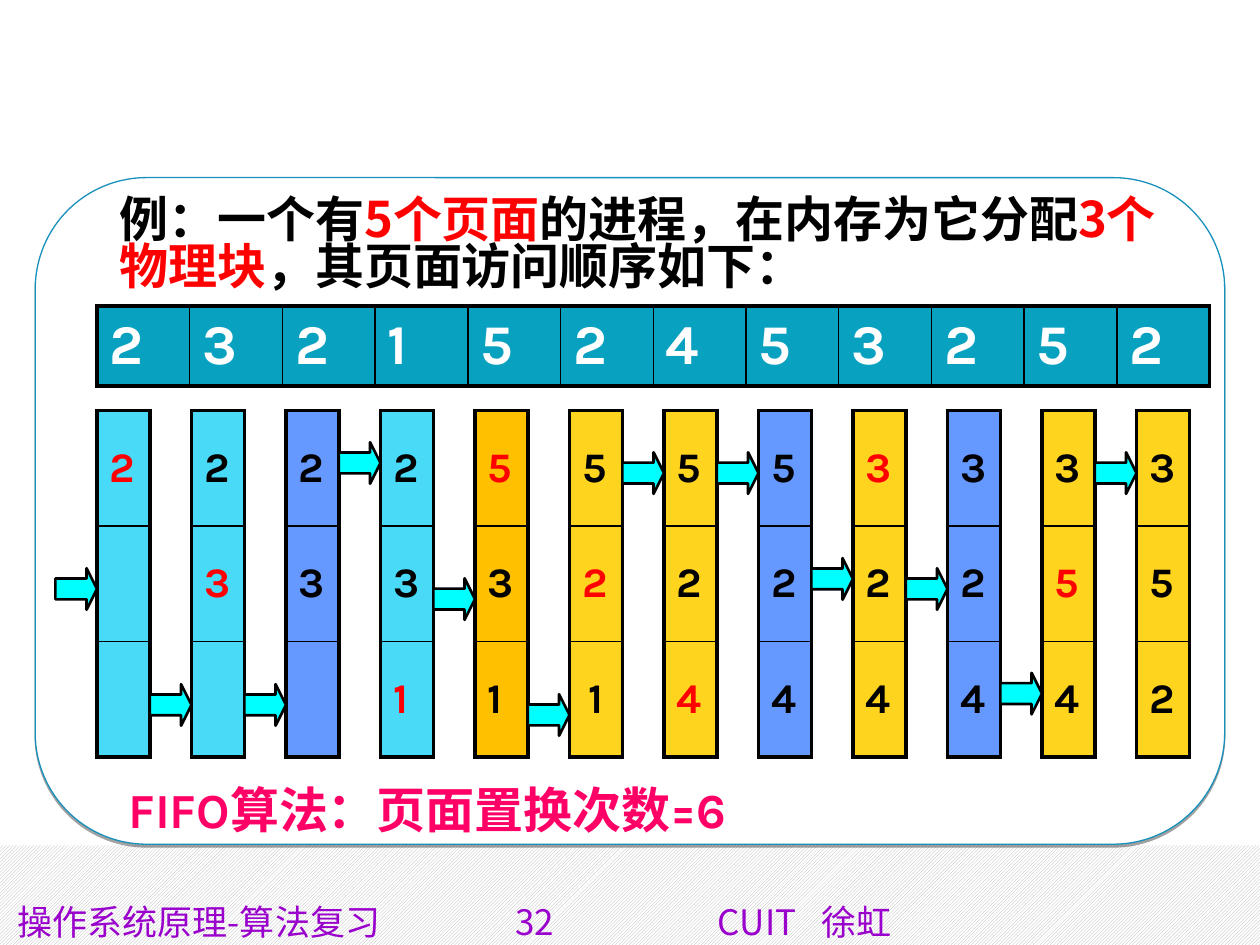
import lxml.etree
import pptx
import pptx.dml.color
import pptx.enum.dml
import pptx.enum.shapes
import pptx.enum.text
import pptx.oxml
import pptx.oxml.ns
import pptx.util

Inches = pptx.util.Inches
Pt = pptx.util.Pt
qn = pptx.oxml.ns.qn
Kind = pptx.enum.shapes.MSO_SHAPE
Anchor = pptx.enum.text.MSO_ANCHOR
Align = pptx.enum.text.PP_ALIGN
rgb = pptx.dml.color.RGBColor.from_string
CJK = "Noto Sans CJK SC"


def write(frame, *runs, size=24, font="Karla", bold=True, space=None, tabs=()):
    """Fill the first paragraph with (text, colour) runs; tabs are in inches."""
    para = frame.paragraphs[0]
    if tabs:
        stops = lxml.etree.SubElement(para._p.get_or_add_pPr(), qn("a:tabLst"))
        for stop in tabs:
            lxml.etree.SubElement(stops, qn("a:tab"), pos=str(Inches(stop)), algn="l")
    if space:
        para.line_spacing = space
    for text, color in runs:
        run = para.add_run()
        run.text = text
        run.font.size, run.font.bold, run.font.name = Pt(size), bold, font
        run.font.color.rgb = rgb(color)
        lxml.etree.SubElement(run._r.get_or_add_rPr(), qn("a:ea"), typeface=font)


def grid(left, top, width, height, rows, fill, size):
    """Draw a table of (text, colour) rows, thick outside and thin inside."""
    down, across = len(rows), len(rows[0])
    table = slide.shapes.add_table(
        down, across, Inches(left), Inches(top), Inches(width), Inches(height)).table
    table.first_row = table.horz_banding = False
    for r, row in enumerate(rows):
        for c, (text, color) in enumerate(row):
            cell = table.cell(r, c)
            cell.vertical_anchor = Anchor.MIDDLE
            if text:
                write(cell.text_frame, (text, color), size=size)
            outer = {"L": c == 0, "R": c == across - 1, "T": r == 0, "B": r == down - 1}
            for side, edge in outer.items():
                line = lxml.etree.SubElement(
                    cell._tc.get_or_add_tcPr(), qn("a:ln" + side), w=str(Pt(2.25 if edge else 1)))
                paint = lxml.etree.SubElement(line, qn("a:solidFill"))
                lxml.etree.SubElement(paint, qn("a:srgbClr"), val="000000")
            cell.fill.solid()
            cell.fill.fore_color.rgb = rgb(fill)
    return table


deck = pptx.Presentation()
deck.slide_width, deck.slide_height = Inches(10), Inches(7.5)
slide = deck.slides.add_slide(deck.slide_layouts[6])

# Footer band and rounded panel
band = slide.shapes.add_shape(Kind.RECTANGLE, 0, Inches(6.71), Inches(10), Inches(0.79))
band.shadow.inherit = False
band.fill.patterned()
band.fill.pattern = pptx.enum.dml.MSO_PATTERN.DARK_UPWARD_DIAGONAL
band.fill.fore_color.rgb, band.fill.back_color.rgb = rgb("B2B2B2"), rgb("FFFFFF")
band.line.fill.background()

panel = slide.shapes.add_shape(
    Kind.ROUNDED_RECTANGLE, Inches(0.28), Inches(1.41), Inches(9.44), Inches(5.29))
panel.adjustments[0] = 0.167
panel.fill.solid()
panel.fill.fore_color.rgb = rgb("FFFFFF")
panel.line.color.rgb, panel.line.width = rgb("1790BB"), Pt(0.75)
panel.shadow.inherit = False
shade = lxml.etree.SubElement(
    panel._element.spPr.find(qn("a:effectLst")), qn("a:outerShdw"),
    blurRad="0", dist=str(Pt(1.6)), dir="5400000", algn="t", rotWithShape="0")
tint = lxml.etree.SubElement(shade, qn("a:srgbClr"), val="000000")
lxml.etree.SubElement(tint, qn("a:alpha"), val="37000")

# Text boxes
foot = slide.shapes.add_textbox(Inches(0.04), Inches(7.1), Inches(9.96), Inches(0.4)).text_frame
foot.word_wrap = True
write(foot, ("操作系统原理-算法复习\t32\tCUIT\t徐虹", "9900CC"),
      size=20, font=CJK, bold=False, tabs=(3.95, 5.56, 6.38))

task = slide.shapes.add_textbox(Inches(0.85), Inches(1.47), Inches(8.52), Inches(0.91)).text_frame
task.word_wrap = True
task.vertical_anchor = Anchor.BOTTOM
write(task, ("例：一个有", "000000"), ("5个页面", "FF0000"),
      ("的进程，在内存为它分配", "000000"), ("3个物理块", "FF0000"),
      ("，其页面访问顺序如下：", "000000"), size=28, font=CJK, space=0.8)

total = slide.shapes.add_textbox(Inches(0.92), Inches(6.14), Inches(6.92), Inches(0.57)).text_frame
total.word_wrap = True
write(total, ("FIFO算法：页面置换次数=6", "FF0066"), size=28)

# Order in which the pages are used
grid(0.77, 2.43, 8.83, 0.63, [[(page, "FFFFFF") for page in "232152453252"]], "08A1C0", 32)

# Memory after each step: pages, row of the new page, fill, top of the arrow
CYAN, BLUE, GOLD, AMBER = "49DAF7", "6699FF", "FFD41F", "FFC000"
steps = [
    (["2", "", ""], 0, CYAN, 4.51),
    (["2", "3", ""], 1, CYAN, 5.43),
    (["2", "3", ""], None, BLUE, 5.43),
    (["2", "3", "1"], 2, CYAN, 3.51),
    (["5", "3", "1"], 0, AMBER, 4.59),
    (["5", "2", "1"], 1, GOLD, 5.51),
    (["5", "2", "4"], 2, GOLD, 3.59),
    (["5", "2", "4"], None, BLUE, 3.59),
    (["3", "2", "4"], 0, GOLD, 4.43),
    (["3", "2", "4"], None, BLUE, 4.51),
    (["3", "5", "4"], 1, GOLD, 5.34),
    (["3", "5", "2"], None, GOLD, 3.59),
]
for i, (pages, new, fill, top) in enumerate(steps):
    left = 0.77 + 0.75 * i
    rows = [[(page, "FF0000" if r == new else "000000")] for r, page in enumerate(pages)]
    table = grid(left, 3.26, 0.42, 2.75, rows, fill, 24)
    if i == 5:
        table.cell(2, 0).text_frame.paragraphs[0].alignment = Align.CENTER
    arrow = slide.shapes.add_shape(
        Kind.RIGHT_ARROW, Inches(left - 0.33), Inches(top), Inches(0.33), Inches(0.33))
    arrow.adjustments[0], arrow.adjustments[1] = 0.5, 0.25
    arrow.shadow.inherit = False
    arrow.fill.solid()
    arrow.fill.fore_color.rgb = rgb("00FFFF")
    arrow.line.color.rgb, arrow.line.width = rgb("000000"), Pt(1.5)

deck.save("out.pptx")
